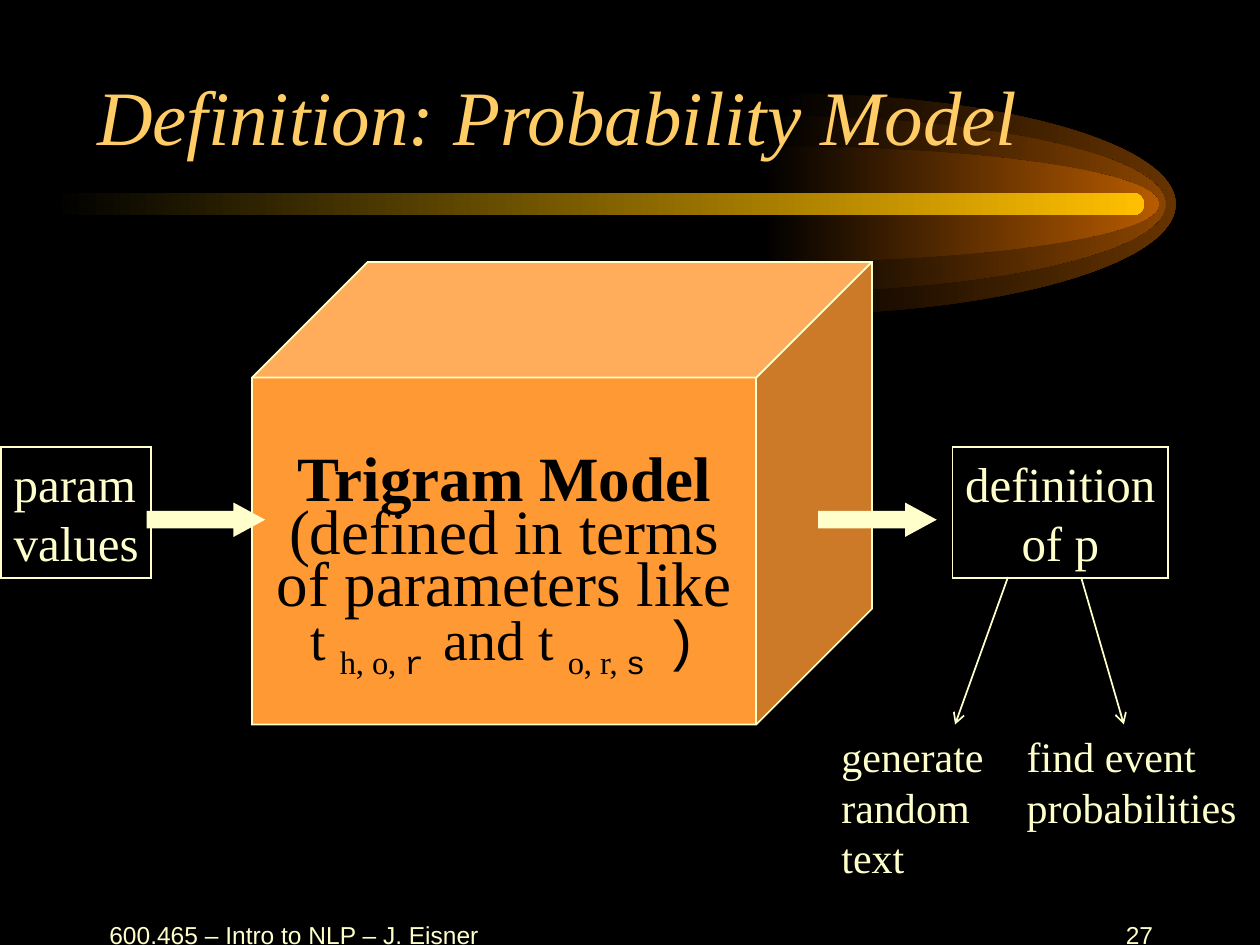
from dataclasses import dataclass

from lxml.etree import SubElement
from pptx import Presentation
from pptx.dml.color import RGBColor
from pptx.enum.shapes import MSO_CONNECTOR, MSO_SHAPE
from pptx.enum.text import MSO_ANCHOR as Anchor, MSO_AUTO_SIZE as AutoSize, PP_ALIGN as Align
from pptx.oxml.ns import qn
from pptx.util import Inches, Pt


@dataclass(frozen=True)
class Theme:
    background = RGBColor(0, 0, 0)
    ink = RGBColor(0, 0, 0)
    cream = RGBColor(0xFF, 0xFF, 0xCC)
    title = RGBColor(0xFF, 0xCC, 0x66)
    model = RGBColor(0xFF, 0x99, 0x33)
    beam = RGBColor(0xFF, 0xBF, 0x00)
    glows = ("663300", "894400", "B75B00")
    serif = "Times New Roman"
    sans = "Arial"
    mono = "Courier New"
    title_size = Pt(44)
    model_size = Pt(36)
    formula_size = Pt(32)
    box_size = Pt(28)
    use_size = Pt(24)
    footer_size = Pt(14)
    stroke = Pt(1)


THEME = Theme()


def set_font(font, size, color, name=THEME.serif):
    font.name, font.size = name, size
    font.color.rgb = color


def fade_in(shape, color):
    """Fill from the background colour on the left to color on the right."""
    shape.shadow.inherit = False
    shape.line.fill.background()
    shape.fill.gradient()
    shape.fill.gradient_angle = 0
    for stop, shade in zip(shape.fill.gradient_stops, (THEME.background, color)):
        stop.color.rgb = shade


def round_sides(half_ellipse):
    """Turn the two straight sides of a triangle into quarter ellipses."""
    width, height = half_ellipse.width, half_ellipse.height
    bulge = 0.55
    upper = ((bulge * width, 0), (width, (1 - bulge) * height / 2))
    lower = ((width, (1 + bulge) * height / 2), (bulge * width, height))
    sides = half_ellipse._element.findall(".//" + qn("a:lnTo"))
    for side, controls in zip(sides, (upper, lower)):
        side.tag = qn("a:cubicBezTo")
        for index, (x, y) in enumerate(controls):
            SubElement(side, qn("a:pt"), x=str(round(x)), y=str(round(y)))
            side.insert(index, side[-1])


def add_glow(slide, left, radius_y, color):
    """Add the right half of an ellipse, centred on the beam."""
    center_y, radius_x = 1.62, 3.15
    top, tip, bottom = [(Inches(x), Inches(y)) for x, y in (
        (left, center_y - radius_y), (left + radius_x, center_y), (left, center_y + radius_y))]
    outline = slide.shapes.build_freeform(*top)
    outline.add_line_segments((tip, bottom), close=True)
    glow = outline.convert_to_shape()
    round_sides(glow)
    fade_in(glow, color)


def add_comet(slide):
    glows = ((6.18, 0.88), (6.1, 0.7), (6.05, 0.46))
    for (left, radius_y), color in zip(glows, THEME.glows):
        add_glow(slide, left, radius_y, RGBColor.from_string(color))
    beam = slide.shapes.add_shape(MSO_SHAPE.ROUNDED_RECTANGLE, Inches(0.42), Inches(1.53),
                                  Inches(8.66), Inches(0.18))
    beam.adjustments[0] = 0.5
    fade_in(beam, THEME.beam)


def add_title(slide, text):
    title = slide.shapes.title
    title.left, title.top = Inches(0.67), Inches(0.08)
    title.width, title.height = Inches(8.5), Inches(1.25)
    frame = title.text_frame
    frame.text = text
    frame.auto_size = AutoSize.NONE
    frame.vertical_anchor = Anchor.BOTTOM
    paragraph = frame.paragraphs[0]
    paragraph.alignment = Align.LEFT
    set_font(paragraph.font, THEME.title_size, THEME.title)
    paragraph.font.italic = True


def write(frame, text, size, align=Align.LEFT, anchor=Anchor.TOP, name=THEME.serif, wrap=False):
    frame.text = text
    frame.word_wrap = wrap
    frame.auto_size = AutoSize.NONE if wrap else AutoSize.SHAPE_TO_FIT_TEXT
    frame.vertical_anchor = anchor
    for paragraph in frame.paragraphs:
        paragraph.alignment = align
        set_font(paragraph.font, size, THEME.cream, name)


def add_label(slide, text, left, top, width, height, size, **style):
    label = slide.shapes.add_textbox(Inches(left), Inches(top), Inches(width), Inches(height))
    write(label.text_frame, text, size, **style)


def add_outlined(slide, preset, left, top, width, height, fill=None):
    shape = slide.shapes.add_shape(preset, Inches(left), Inches(top),
                                   Inches(width), Inches(height))
    shape.shadow.inherit = False
    shape.line.color.rgb = THEME.cream
    shape.line.width = THEME.stroke
    SubElement(shape.line._get_or_add_ln(), qn("a:miter"), lim="800000")
    if fill is None:
        shape.fill.background()
    else:
        shape.fill.solid()
        shape.fill.fore_color.rgb = fill
    return shape


def add_box(slide, text, left, width, align):
    box = add_outlined(slide, MSO_SHAPE.RECTANGLE, left, 3.55, width, 1.04)
    write(box.text_frame, text, THEME.box_size, align=align)


def add_flow_arrow(slide, left):
    arrow = add_outlined(slide, MSO_SHAPE.RIGHT_ARROW, left, 4, 0.92, 0.25, THEME.cream)
    arrow.adjustments[1] = 0.92


def add_model(slide):
    cube = add_outlined(slide, MSO_SHAPE.CUBE, 2, 2.08, 4.92, 3.67, THEME.model)
    frame = cube.text_frame
    frame.word_wrap = True
    frame.vertical_anchor = Anchor.MIDDLE
    frame.margin_top = Inches(0.27)
    name, description = frame.paragraphs[0], frame.add_paragraph()
    for paragraph in (name, description):
        paragraph.alignment = Align.CENTER
        paragraph.line_spacing = 0.7
        set_font(paragraph.font, THEME.model_size, THEME.ink)
    name.add_run().text = "Trigram Model"
    name.font.bold = True

    description.add_run().text = "(defined in terms of parameters like "
    formula = (("t ", THEME.serif, False), ("h, o, ", THEME.serif, True),
               ("r ", THEME.mono, True), ("and t ", THEME.serif, False),
               ("o, r, ", THEME.serif, True), ("s ", THEME.mono, True),
               (")", THEME.mono, False))
    for text, font_name, is_subscript in formula:
        run = description.add_run()
        run.text = text
        set_font(run.font, THEME.formula_size, THEME.ink, font_name)
        if is_subscript:
            run.font._element.set("baseline", "-25000")


def add_pointer(slide, start, end):
    pointer = slide.shapes.add_connector(MSO_CONNECTOR.STRAIGHT,
                                         *(Inches(value) for value in start + end))
    pointer.line.color.rgb = THEME.cream
    pointer.line.width = THEME.stroke
    SubElement(pointer.line._get_or_add_ln(), qn("a:tailEnd"), type="arrow")
    SubElement(pointer._element.spPr, qn("a:effectLst"))


def main():
    deck = Presentation()
    deck.slide_width, deck.slide_height = Inches(10), Inches(7.5)
    slide = deck.slides.add_slide(deck.slide_layouts[5])
    slide.background.fill.solid()
    slide.background.fill.fore_color.rgb = THEME.background

    add_comet(slide)
    # Bring the title in front of the comet.
    slide.shapes._spTree.append(slide.shapes.title._element)
    add_title(slide, "Definition: Probability Model")
    footer = dict(size=THEME.footer_size, anchor=Anchor.MIDDLE, name=THEME.sans, wrap=True)
    add_label(slide, "600.465 – Intro to NLP – J. Eisner", 0.75, 7.17, 3.17, 0.5,
              align=Align.CENTER, **footer)
    add_label(slide, "27", 7.17, 7.17, 2.08, 0.5, align=Align.RIGHT, **footer)

    add_model(slide)
    add_flow_arrow(slide, 1.17)
    add_box(slide, "param\nvalues", 0.01, 1.19, Align.LEFT)
    add_flow_arrow(slide, 6.5)
    add_box(slide, "definition\nof p", 7.56, 1.71, Align.CENTER)

    add_pointer(slide, (8, 4.58), (7.58, 5.75))
    add_pointer(slide, (8.58, 4.58), (8.92, 5.75))
    add_label(slide, "find event\nprobabilities", 8.05, 5.75, 1.87, 0.9, THEME.use_size)
    add_label(slide, "generate\nrandom\ntext", 6.58, 5.75, 1.33, 1.3, THEME.use_size)

    deck.save("out.pptx")


if __name__ == "__main__":
    main()
